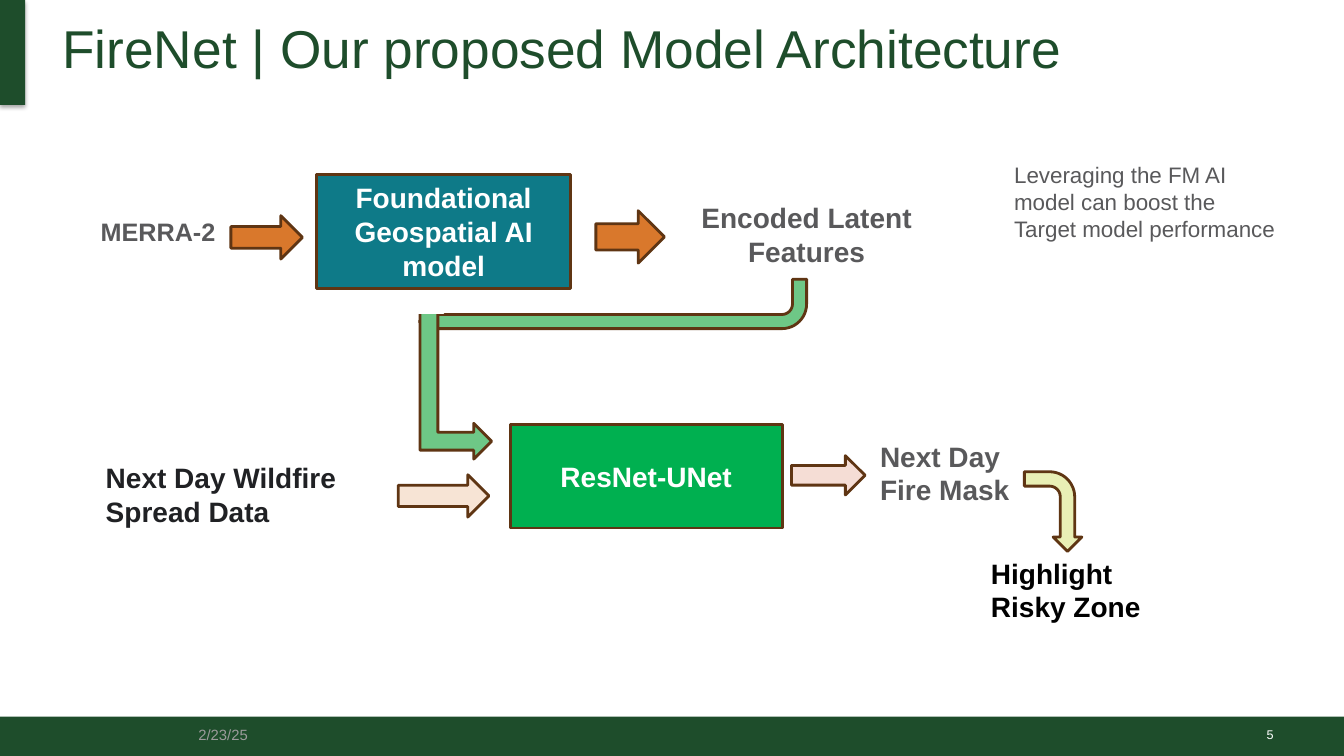
from lxml import etree
from pptx import Presentation
from pptx.dml.color import RGBColor
from pptx.enum.shapes import MSO_SHAPE
from pptx.enum.text import MSO_ANCHOR, PP_ALIGN
from pptx.oxml.ns import qn
from pptx.util import Inches, Pt

RECT = MSO_SHAPE.RECTANGLE
ARROW = MSO_SHAPE.RIGHT_ARROW
BENT = MSO_SHAPE.BENT_ARROW
BENT_UP = MSO_SHAPE.BENT_UP_ARROW
TOP, MID, BOTTOM = MSO_ANCHOR.TOP, MSO_ANCHOR.MIDDLE, MSO_ANCHOR.BOTTOM
LEFT, MIDDLE, RIGHT = PP_ALIGN.LEFT, PP_ALIGN.CENTER, PP_ALIGN.RIGHT

FOREST, BROWN, WHITE = "1E4D2B", "5F3513", "FFFFFF"
ORANGE, MINT, GREY = "D9782C", "6EC786", "59595B"

BARS = [(0, 7.11, 13.33, 0.39), (0, 0, 0.25, 1.04)]

SHAPES = [
    (ARROW, (2.29, 2.14, 0.71, 0.43), 0, ORANGE, BROWN),
    (ARROW, (5.91, 2.09, 0.68, 0.52), 0, ORANGE, BROWN),
    (BENT, (4.16, 2.77, 3.84, 0.56), 180, MINT, BROWN),
    (BENT_UP, (3.77, 3.45, 1.5, 0.71), 90, MINT, BROWN),
    (RECT, (4.11, 2.93, 0.29, 0.17), 0, WHITE, WHITE),
    (ARROW, (3.95, 4.71, 0.9, 0.42), 0, "F7E4D5", BROWN),
    (ARROW, (7.85, 4.52, 0.73, 0.39), 0, "F5DDD5", BROWN),
    (BENT, (10.05, 4.79, 0.79, 0.57), 90, "E9EFB5", BROWN),
]

MODELS = [
    ("Foundational Geospatial AI model", (3.14, 1.73, 2.52, 1.13), "0E7A88"),
    ("ResNet-UNet", (5.06, 4.21, 2.7, 1.03), "00B050"),
]

LABELS = [
    ("MERRA-2", (0.9, 2.1, 1.43, 0.4), 18, GREY, LEFT),
    ("Encoded Latent Features", (6.64, 1.94, 2.72, 0.77), 20, GREY, MIDDLE),
    ("Next Day Wildfire Spread Data", (0.95, 4.52, 2.75, 0.77), 20, "202124", LEFT),
    ("Next Day Fire Mask", (8.63, 4.31, 1.7, 0.77), 20, GREY, LEFT),
    ("Highlight Risky Zone", (9.73, 5.47, 2.01, 0.77), 20, "000000", LEFT),
]

NOTES = [
    ("FireNet | Our proposed Model Architecture",
     (0.52, 0.05, 12.51, 0.84), 38, FOREST, LEFT, BOTTOM, 0.1),
    ("Leveraging the FM AI model can boost the\nTarget model performance",
     (9.96, 1.55, 2.87, 0.91), 16, GREY, LEFT, TOP, 0.05),
    ("2/23/25", (1.87, 7.09, 3, 0.4), 10.6, "9B9B9B", LEFT, MID, 0.05),
    ("5", (9.73, 7.09, 3, 0.4), 9, WHITE, RIGHT, MID, 0.05),
]

deck = Presentation()
deck.slide_width, deck.slide_height = Inches(13.33), Inches(7.5)
slide = deck.slides.add_slide(deck.slide_layouts[6])


def color(code):
    return RGBColor.from_string(code)


def draw(kind, box, fill, line=None, turn=0):
    shape = slide.shapes.add_shape(kind, *map(Inches, box))
    shape.shadow.inherit = False
    shape.rotation = turn
    shape.fill.solid()
    shape.fill.fore_color.rgb = color(fill)
    if line:
        shape.line.color.rgb = color(line)
        shape.line.width = Pt(2)
    else:
        shape.line.fill.background()
    return shape


def write(shape, text, size, ink, align, anchor, bold=False, pad=0.05):
    frame = shape.text_frame
    frame.text = text
    frame.word_wrap = True
    frame.vertical_anchor = anchor
    frame.margin_top = frame.margin_bottom = Inches(pad)
    for para in frame.paragraphs:
        para.alignment = align
        for run in para.runs:
            font = run.font
            font.name, font.size, font.bold = "Arial", Pt(size), bold
            font.color.rgb = color(ink)


def label(text, box, size, ink, align, anchor=TOP, pad=0.05, bold=False):
    shape = slide.shapes.add_textbox(*map(Inches, box))
    write(shape, text, size, ink, align, anchor, bold, pad)


def shade(shape):
    effects = shape._element.spPr.find(qn("a:effectLst"))
    cast = etree.SubElement(effects, qn("a:outerShdw"), blurRad=str(Pt(3.1)),
                            dist=str(Pt(1.8)), dir="5400000", rotWithShape="0")
    tint = etree.SubElement(cast, qn("a:srgbClr"), val="000000")
    etree.SubElement(tint, qn("a:alpha"), val="35000")


footer, accent = [draw(RECT, box, FOREST) for box in BARS]
shade(accent)
for kind, box, turn, fill, line in SHAPES:
    draw(kind, box, fill, line, turn)
for text, box, fill in MODELS:
    write(draw(RECT, box, fill, BROWN), text, 20, WHITE, MIDDLE, MID, True)
for item in LABELS:
    label(*item, bold=True)
for item in NOTES:
    label(*item)

deck.save("out.pptx")
